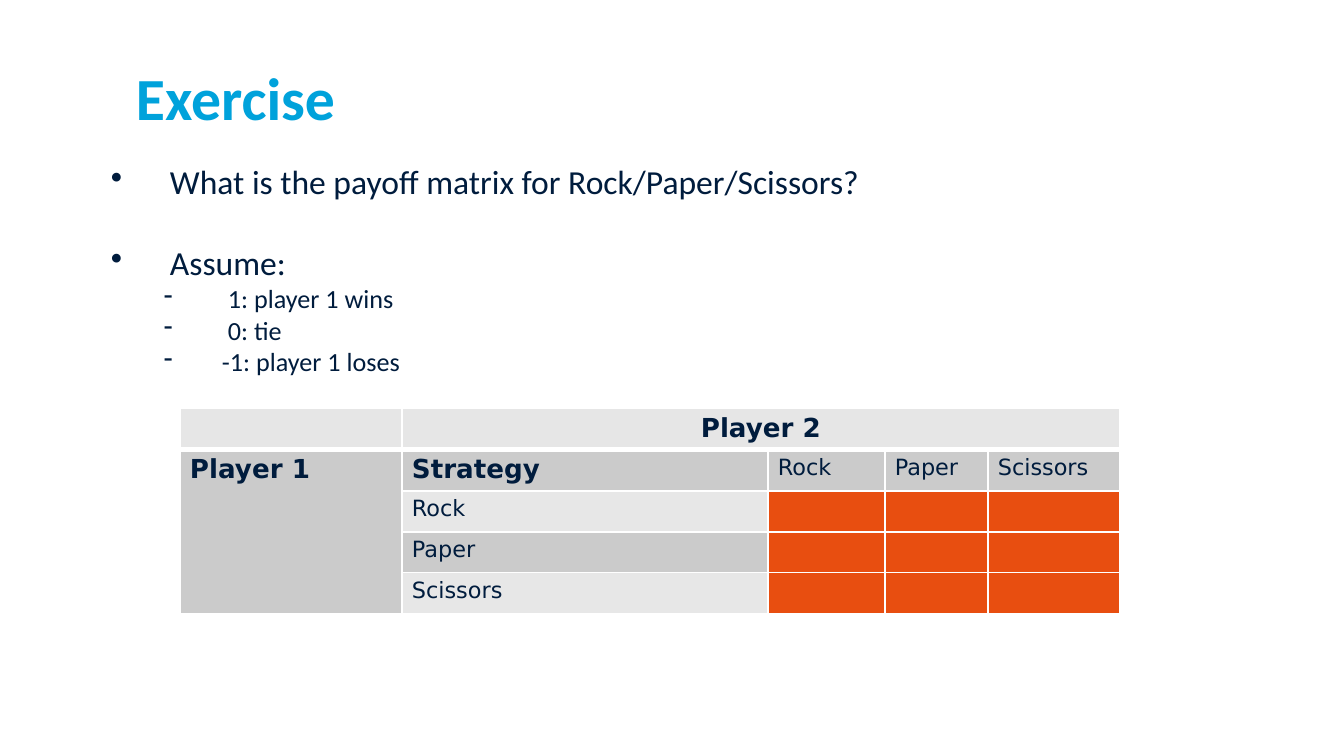
from lxml.etree import SubElement
from pptx import Presentation
from pptx.dml.color import RGBColor
from pptx.enum.text import MSO_ANCHOR, PP_ALIGN
from pptx.oxml.ns import qn
from pptx.util import Pt

PX = 914400 / 134.4
COLORS = {
    "title": "00A2DB",
    "text": "001C3D",
    "header": "E6E6E6",
    "dark": "CBCBCB",
    "light": "E7E7E7",
    "payoff": "E84E10",
    "border": "FFFFFF",
}


def px(*lengths):
    """Turn pixel lengths into a list of EMU."""
    return [round(length * PX) for length in lengths]


def style_text(para, size, font, color, bold=False):
    for span in para.runs:
        span.font.size = Pt(size)
        span.font.name = font
        span.font.bold = bold
        span.font.color.rgb = RGBColor.from_string(COLORS[color])


deck = Presentation()
deck.slide_width, deck.slide_height = px(1344, 756)
page = deck.slides.add_slide(deck.slide_layouts[5])

# Title
title = page.shapes.title
title.left, title.top, title.width, title.height = px(136, 55, 919, 83)
frame = title.text_frame
frame.margin_left = frame.margin_top = frame.margin_right = frame.margin_bottom = 0
frame.vertical_anchor = MSO_ANCHOR.MIDDLE
frame.text = "Exercise"
frame.paragraphs[0].alignment = PP_ALIGN.LEFT
style_text(frame.paragraphs[0], 32, "Calibri", "title", True)

# Question and assumptions: text, level, bullet, left margin, hanging, size, space before
bullets = [
    ("What is the payoff matrix for Rock/Paper/Scissors?", 0, "•", 59, 59, 18, 0),
    ("Assume:", 0, "•", 59, 59, 18, 22),
    ("1: player 1 wins", 1, "-", 117, 64, 14, 0),
    ("0: tie", 1, "-", 117, 64, 14, 0),
    ("-1: player 1 loses", 1, "-", 111, 58, 14, 0),
]
box = page.shapes.add_textbox(*px(111, 161, 1117, 240))
frame = box.text_frame
frame.word_wrap = True
frame.margin_left = frame.margin_top = frame.margin_right = frame.margin_bottom = 0
for index, (text, level, bullet, margin, hanging, size, gap) in enumerate(bullets):
    para = frame.add_paragraph() if index else frame.paragraphs[0]
    para.text = text
    para.level = level
    para.space_before = Pt(gap)
    properties = para._p.get_or_add_pPr()
    margin_emu, hanging_emu = px(margin, hanging)
    properties.set("marL", str(margin_emu))
    properties.set("indent", str(-hanging_emu))
    SubElement(properties, qn("a:buChar"), char=bullet)
    style_text(para, size, "Calibri", "text")

# Payoff matrix
strategies = ["Rock", "Paper", "Scissors"]
rows = [["", "Player 2", "", "", ""], ["Player 1", "Strategy", *strategies]]
rows += [["", strategy, "", "", ""] for strategy in strategies]
headings = ["Player 1", "Player 2", "Strategy"]
column_widths = px(222, 366, 117, 103, 132)

table = page.shapes.add_table(5, 5, *px(180, 408, 940, 205)).table
for column, width in zip(table.columns, column_widths):
    column.width = width
for row in table.rows:
    row.height = px(41)[0]

for r, texts in enumerate(rows):
    for c, text in enumerate(texts):
        cell = table.cell(r, c)
        cell.margin_left, cell.margin_right = px(10, 10)
        cell.margin_top, cell.margin_bottom = px(5, 5)
        cell.text = text
        para = cell.text_frame.paragraphs[0]
        style_text(para, 14 if text in headings else 12, "DejaVu Sans", "text", text in headings)
        if not text:
            SubElement(para._p, qn("a:endParaRPr"), sz="1200")

        thick_side = {0: "lnB", 1: "lnT"}.get(r)
        for side in ("lnL", "lnR", "lnT", "lnB"):
            width = Pt(3 if side == thick_side else 1)
            line = SubElement(cell._tc.get_or_add_tcPr(), qn(f"a:{side}"), w=str(width))
            fill = SubElement(line, qn("a:solidFill"))
            SubElement(fill, qn("a:srgbClr"), val=COLORS["border"])

        if r == 0:
            color = "header"
        elif r > 1 and c > 1:
            color = "payoff"
        else:
            color = "dark" if c == 0 or r % 2 else "light"
        cell.fill.solid()
        cell.fill.fore_color.rgb = RGBColor.from_string(COLORS[color])

table.cell(0, 1).text_frame.paragraphs[0].alignment = PP_ALIGN.CENTER
table.cell(0, 1).merge(table.cell(0, 4))
table.cell(1, 0).merge(table.cell(4, 0))

deck.save("out.pptx")
